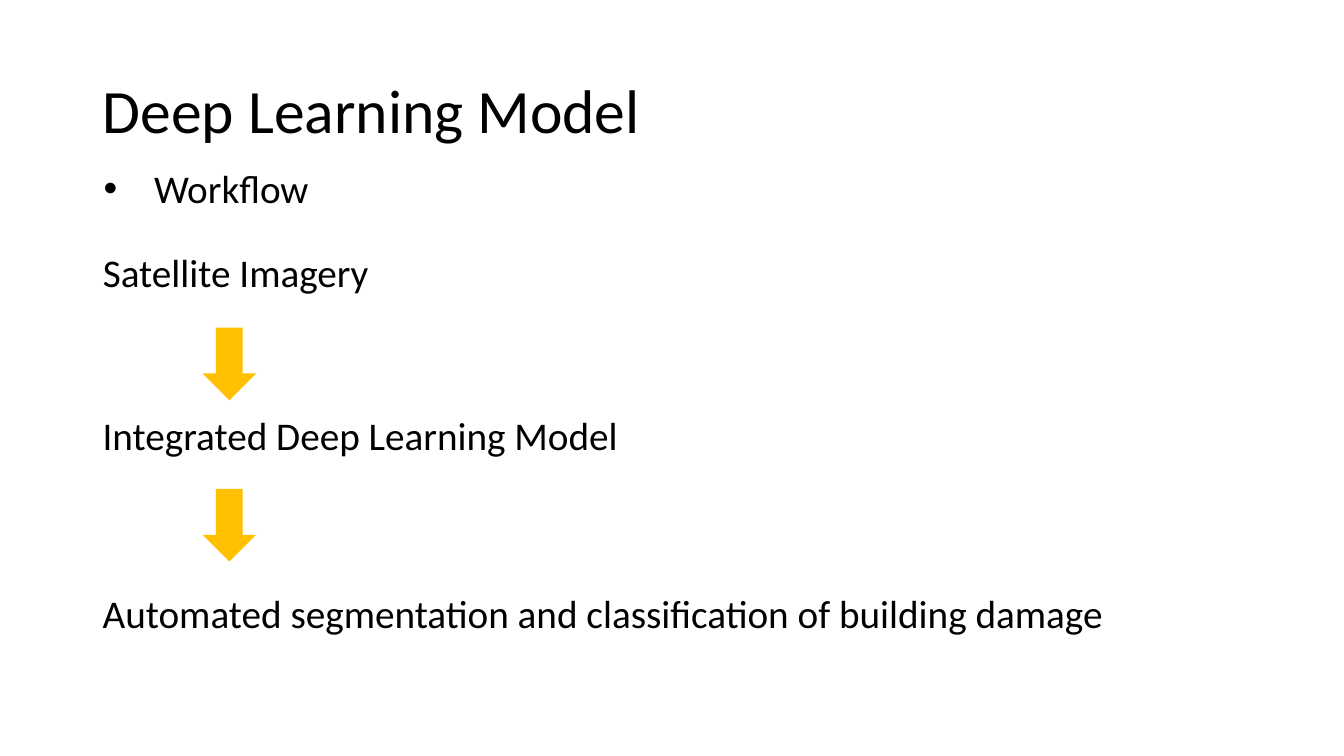
from dataclasses import dataclass

from lxml.etree import SubElement
from pptx import Presentation
from pptx.dml.color import RGBColor
from pptx.enum.shapes import MSO_SHAPE
from pptx.enum.text import MSO_ANCHOR, MSO_AUTO_SIZE, PP_ALIGN
from pptx.oxml.ns import qn
from pptx.util import Inches, Pt

COLORS = {"text": "000000", "arrow": "FFC000", "background": "FFFFFF"}
FONT = "Calibri"
LEFT = 0.92
ARROW_LEFT, ARROW_WIDTH, ARROW_HEIGHT = 2.01, 0.53, 0.72
ARROW_TOPS = (3.25, 4.85)


@dataclass
class Label:
    text: str
    left: float
    top: float
    width: float
    height: float
    size: int = 28
    line_spacing: float = 0.9
    anchor: MSO_ANCHOR = MSO_ANCHOR.TOP
    bullet: str = ""


TITLE = Label("Deep Learning Model", LEFT, 0.4, 11.5, 1.45, size=44, anchor=MSO_ANCHOR.MIDDLE)
SOURCE = Label("Satellite Imagery", LEFT, 2.47, 3.53, 0.53)
STEPS = (
    Label("Integrated Deep Learning Model", LEFT, 4.08, 6.37, 1.02),
    Label("Automated segmentation and classification of building damage", LEFT, 5.85, 10.52, 0.71),
    Label("Workflow", 0.93, 1.58, 12.4, 0.57, line_spacing=1.0, bullet="•"),
)


def set_bullet(para, bullet: str) -> None:
    properties = para._p.get_or_add_pPr()
    indent = Inches(0.5) if bullet else 0
    properties.set("marL", str(indent))
    properties.set("indent", str(-indent))
    if bullet:
        SubElement(properties, qn("a:buFont"), typeface="Arial")
        SubElement(properties, qn("a:buChar"), char=bullet)
    else:
        SubElement(properties, qn("a:buNone"))


def write_label(box, label: Label) -> None:
    box.left, box.top = Inches(label.left), Inches(label.top)
    box.width, box.height = Inches(label.width), Inches(label.height)
    frame = box.text_frame
    frame.text = label.text
    frame.word_wrap = True
    frame.auto_size = MSO_AUTO_SIZE.SHAPE_TO_FIT_TEXT if label.bullet else MSO_AUTO_SIZE.NONE
    frame.vertical_anchor = label.anchor
    para = frame.paragraphs[0]
    set_bullet(para, label.bullet)
    para.alignment = PP_ALIGN.LEFT
    para.line_spacing = label.line_spacing
    para.space_before = Pt(0)
    span = para.runs[0]
    span.font.name = FONT
    span.font.size = Pt(label.size)
    span.font.color.rgb = RGBColor.from_string(COLORS["text"])


def add_arrow(page, top: float) -> None:
    arrow = page.shapes.add_shape(
        MSO_SHAPE.DOWN_ARROW, Inches(ARROW_LEFT), Inches(top), Inches(ARROW_WIDTH), Inches(ARROW_HEIGHT)
    )
    arrow.shadow.inherit = False
    arrow.fill.solid()
    arrow.fill.fore_color.rgb = RGBColor.from_string(COLORS["arrow"])
    arrow.line.fill.background()


def main() -> None:
    deck = Presentation()
    deck.slide_width, deck.slide_height = Inches(13.33), Inches(7.5)
    page = deck.slides.add_slide(deck.slide_layouts[1])
    page.background.fill.solid()
    page.background.fill.fore_color.rgb = RGBColor.from_string(COLORS["background"])
    write_label(page.shapes.title, TITLE)
    write_label(page.placeholders[1], SOURCE)
    for top in ARROW_TOPS:
        add_arrow(page, top)
    for step in STEPS:
        write_label(page.shapes.add_textbox(0, 0, 0, 0), step)
    deck.save("out.pptx")


if __name__ == "__main__":
    main()
